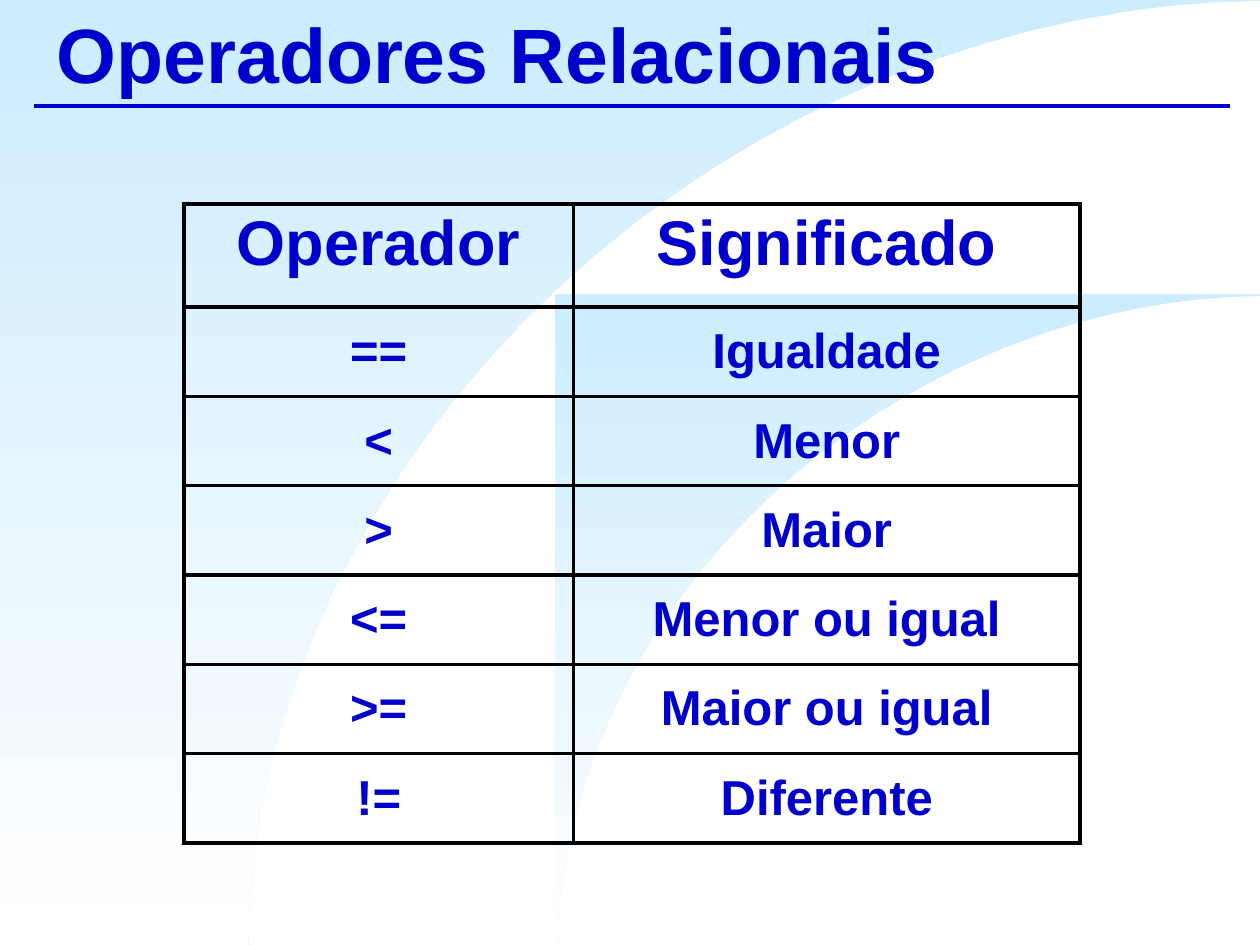
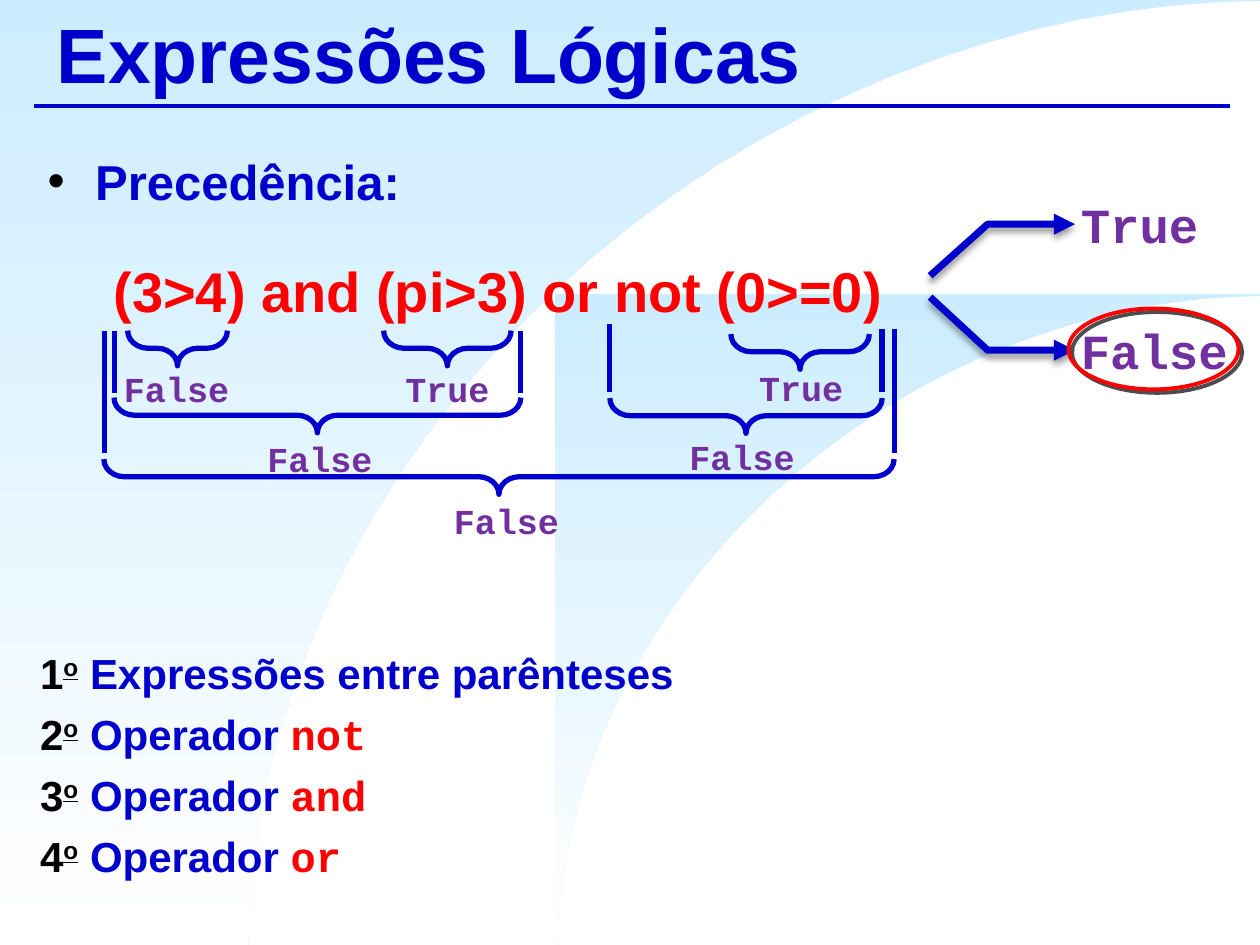
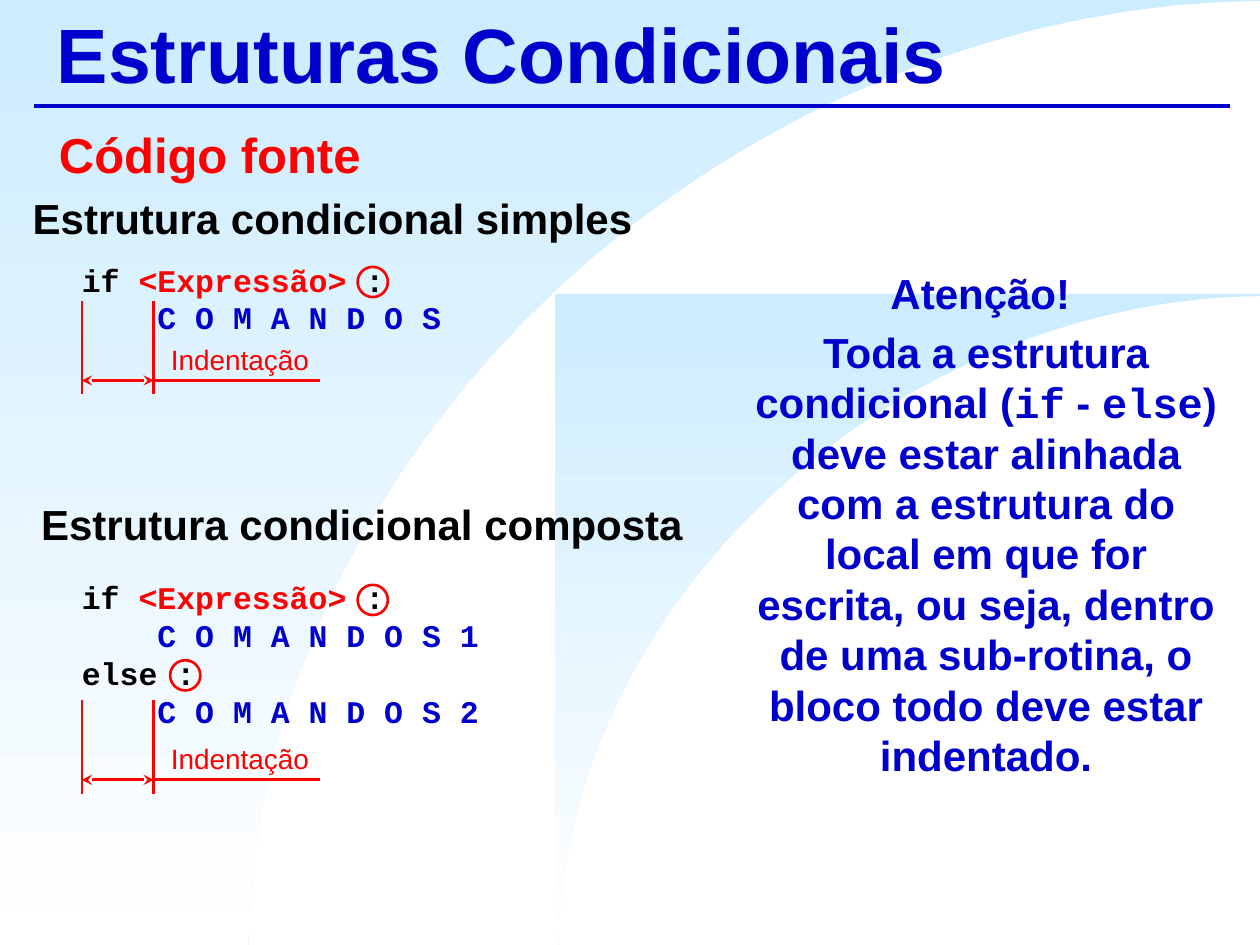
"""Builds three slides on relational operators, logic and conditionals."""
import math

import lxml.etree
import pptx
import pptx.dml.color
import pptx.enum.shapes
import pptx.enum.text
import pptx.oxml.ns
import pptx.util

Cm = pptx.util.Cm
Pt = pptx.util.Pt
qn = pptx.oxml.ns.qn
SHAPE = pptx.enum.shapes.MSO_SHAPE
ALIGN = pptx.enum.text.PP_ALIGN
ANCHOR = pptx.enum.text.MSO_ANCHOR

BLUE, RED, BLACK, PURPLE = "0000CC", "FF0000", "000000", "7030A0"
SKY, WHITE, GREY = "CCECFF", "FFFFFF", "4D4D4D"
SANS, MONO = "Arial", "Courier New"
WIDE, HIGH = 25.4, 19.05


def tint(code):
    return pptx.dml.color.RGBColor.from_string(code)


def node(parent, tag, **attrs):
    return lxml.etree.SubElement(parent, qn(tag), attrs)


class Deck:
    def __init__(self):
        self.file = pptx.Presentation()
        self.file.slide_width, self.file.slide_height = Cm(WIDE), Cm(HIGH)
        self.plan = self.file.slide_layouts[5]
        self.slide = None

    def start(self, title):
        first = self.slide is None
        self.slide = self.file.slides.add_slide(self.plan)
        if first:
            self.back()
        head = self.slide.shapes.title
        head.left, head.top, head.width, head.height = Cm(0.89), Cm(0), Cm(23.93), Cm(2.11)
        self.words(head.text_frame, [[(title, BLUE)]], 44, anchor=ANCHOR.MIDDLE)

    def back(self):
        parts = [self.curve(0, 0, 20.4, 19.03), self.curve(11.18, 5.92, 14.15, 13.08),
                 self.line(0.69, 2.13, 24.79, 2.13, BLUE, 2.25)]
        for part in parts:
            self.plan.shapes.element.append(part.element)

    def curve(self, left, top, wide, high):
        steps = 32
        turns = [math.pi / 2 * step / steps for step in range(steps)]
        points = [(WIDE - wide * math.cos(turn) ** 1.05, HIGH - high * math.sin(turn) ** 1.05)
                  for turn in turns]
        points += [(WIDE, HIGH - high), (WIDE, top), (left, top), (left, HIGH)]
        shape = self.trace(points, True)
        shape.fill.gradient()
        shape.fill.gradient_angle = 270
        for stop, code in zip(shape.fill.gradient_stops, (SKY, WHITE)):
            stop.color.rgb = tint(code)
        shape.line.fill.background()
        return shape

    def trace(self, points, close):
        spots = [(Cm(x), Cm(y)) for x, y in points]
        pen = self.slide.shapes.build_freeform(*spots[0])
        pen.add_line_segments(spots[1:], close=close)
        shape = pen.convert_to_shape()
        shape.shadow.inherit = False
        return shape

    def stroke(self, shape, code, width):
        shape.line.color.rgb = tint(code)
        shape.line.width = Pt(width)

    def tips(self, shape, kind, *ends):
        line = shape.element.spPr.find(qn("a:ln"))
        for end in ends:
            node(line, end, type=kind)

    def shade(self, shape, code, alpha, blur, dist, turn):
        group = shape.element.spPr.find(qn("a:effectLst"))
        outer = node(group, "a:outerShdw", blurRad=str(Pt(blur)), dist=str(Pt(dist)),
                     dir=str(turn * 60000), algn="ctr", rotWithShape="0")
        node(node(outer, "a:srgbClr", val=code), "a:alpha", val=str(alpha * 1000))

    def line(self, x1, y1, x2, y2, code, width):
        kind = pptx.enum.shapes.MSO_CONNECTOR.STRAIGHT
        link = self.slide.shapes.add_connector(kind, Cm(x1), Cm(y1), Cm(x2), Cm(y2))
        self.stroke(link, code, width)
        node(link.element.spPr, "a:effectLst")
        return link

    def form(self, kind, x, y, wide, high, code, width):
        shape = self.slide.shapes.add_shape(kind, Cm(x), Cm(y), Cm(wide), Cm(high))
        shape.shadow.inherit = False
        shape.fill.background()
        self.stroke(shape, code, width)
        return shape

    def brace(self, x, y, span):
        thick = 0.71
        shape = self.form(SHAPE.LEFT_BRACE, x - thick / 2, y - span / 2, thick, span, BLUE, 3)
        shape.rotation = 270
        shape.adjustments[0] = 0.58

    def arrow(self, points):
        shape = self.trace(points, False)
        shape.fill.background()
        self.stroke(shape, BLUE, 4)
        self.tips(shape, "triangle", "a:tailEnd")
        self.shade(shape, BLACK, 40, 4, 3, 90)

    def words(self, frame, rows, size, align=ALIGN.LEFT, anchor=ANCHOR.TOP, bold=True,
              space=None, before=0, after=0):
        frame.vertical_anchor = anchor
        for index, row in enumerate(rows):
            para = frame.add_paragraph() if index else frame.paragraphs[0]
            para.alignment = align
            para.line_spacing = space
            para.space_before = Pt(before if index else 0)
            para.space_after = Pt(after)
            for text, code, *more in row:
                run = para.add_run()
                run.text = text
                font = run.font
                font.size, font.bold = Pt(size), bold
                font.name = MONO if MONO in more else SANS
                font.color.rgb = tint(code)
                if "raised" in more:
                    font.underline = True
                    font._element.set("baseline", "30000")

    def text(self, x, y, wide, high, rows, size, wrap=True, **look):
        box = self.slide.shapes.add_textbox(Cm(x), Cm(y), Cm(wide), Cm(high))
        box.text_frame.word_wrap = wrap
        self.words(box.text_frame, rows, size, **look)
        return box

    def bullet(self, para, gap):
        props = para._p.get_or_add_pPr()
        props.set("marL", str(Cm(gap)))
        props.set("indent", str(-Cm(gap)))
        node(node(props, "a:buClr"), "a:srgbClr", val=BLACK)
        node(props, "a:buFont", typeface=SANS)
        node(props, "a:buChar", char="•")

    def table(self, x, y, cols, highs, rows):
        frame = self.slide.shapes.add_table(len(rows), len(cols), Cm(x), Cm(y),
                                            Cm(sum(cols)), Cm(sum(highs)))
        grid = frame.table
        grid.first_row = grid.horz_banding = False
        for col, wide in zip(grid.columns, cols):
            col.width = Cm(wide)
        for index, (row, high) in enumerate(zip(rows, highs)):
            grid.rows[index].height = Cm(high)
            for cell, word in zip(grid.rows[index].cells, row):
                cell.margin_left = cell.margin_right = Cm(0.2)
                cell.margin_top = cell.margin_bottom = Cm(0.1)
                self.words(cell.text_frame, [[(word, BLUE)]], 28 if index else 36, ALIGN.CENTER)
                cell.vertical_anchor = ANCHOR.MIDDLE if index else ANCHOR.TOP
                self.edge(cell)

    def edge(self, cell):
        props = cell._tc.get_or_add_tcPr()
        for side in ("a:lnL", "a:lnR", "a:lnT", "a:lnB"):
            line = node(props, side, w=str(Pt(2.25)))
            node(node(line, "a:solidFill"), "a:srgbClr", val=BLACK)
        cell.fill.background()

    def indent(self, top):
        for x in (1.65, 3.1):
            self.line(x, top, x, top + 1.88, RED, 1.5)
        level = top + 1.6
        link = self.line(1.65, level, 3.1, level, RED, 1.5)
        self.tips(link, "stealth", "a:headEnd", "a:tailEnd")
        self.line(3.12, level, 6.45, level, RED, 1.5)
        self.text(3.1, top + 0.71, 3.38, 0.94, [[("Indentação", RED)]], 16,
                  align=ALIGN.RIGHT, bold=False)


def signs(deck):
    deck.start("Operadores Relacionais")
    rows = [("Operador", "Significado"), ("==", "Igualdade"), ("<", "Menor"), (">", "Maior"),
            ("<=", "Menor ou igual"), (">=", "Maior ou igual"), ("!=", "Diferente")]
    deck.table(3.71, 4.11, (7.85, 10.21), [2.08] + [1.8] * 6, rows)


def logic(deck):
    deck.start("Expressões Lógicas")
    box = deck.text(0.71, 2.92, 20.98, 1.93, [[("Precedência:", BLUE)]], 28)
    deck.bullet(box.text_frame.paragraphs[0], 0.96)
    deck.text(1.98, 4.78, 16.13, 1.75, [[("(3>4) and (pi>3) or not (0>=0)", RED)]], 32,
              wrap=False, align=ALIGN.CENTER, space=1.2)

    for start, level in ((5.56, 4.52), (5.99, 7.06)):
        deck.arrow([(18.75, start), (19.91, level), (21.67, level)])
    for word, y, wide in (("True", 3.56, 2.9), ("False", 6.1, 3.5)):
        deck.text(21.54, y, wide, 1.65, [[(word, PURPLE, MONO)]], 28, wrap=False, space=1.2)
    ring = deck.form(SHAPE.OVAL, 21.54, 6.22, 3.43, 1.63, RED, 2.25)
    deck.shade(ring, GREY, 100, 0, 2.8, 45)

    steps = [("False", 3.56, 7.11, 3.58, 7.02, 2.01), ("True", 9.02, 7.11, 9.02, 7.02, 2.57),
             ("True", 16.15, 7.09, 16.13, 7.09, 2.79), ("False", 14.96, 8.48, 15.04, 8.38, 5.49),
             ("False", 6.45, 8.53, 6.4, 8.37, 8.2), ("False", 10.21, 9.78, 10.06, 9.61, 15.93)]
    for word, mid, top, x, y, span in steps:
        deck.text(mid - 1.32, top, 2.64, 1.25, [[(word, PURPLE, MONO)]], 20,
                  wrap=False, align=ALIGN.CENTER, space=1.2)
        deck.brace(x, y, span)
    for x, top, base in ((2.11, 6.68, 9.14), (2.31, 6.68, 7.92), (10.49, 6.68, 7.92),
                         (12.29, 6.53, 7.9), (17.78, 6.63, 7.9), (18.03, 6.63, 9.14)):
        deck.line(x, top, x, base, BLUE, 3)

    rules = [[(" Expressões entre parênteses", BLUE)]]
    rules += [[(" Operador ", BLUE), (word, RED, MONO)] for word in ("not", "and", "or")]
    rows = [[(str(rank), BLACK), ("o", BLACK, "raised")] + rule
            for rank, rule in enumerate(rules, 1)]
    deck.text(0.56, 12.93, 18, 5, rows, 24, align=ALIGN.JUSTIFY, after=6)


def forks(deck):
    deck.start("Estruturas Condicionais")
    deck.text(0.94, 2.51, 9.35, 1.19, [[("Código fonte", RED)]], 28, anchor=ANCHOR.MIDDLE)
    for x, y, kind in ((0.41, 3.76, "simples"), (0.58, 9.93, "composta")):
        deck.text(x, y, 14.5, 1.27, [[("Estrutura condicional " + kind, BLACK)]], 24)

    test = [("if ", BLACK, MONO), ("<Expressão> ", RED, MONO), (":", BLACK, MONO)]
    body = "    C O M A N D O S"
    deck.text(1.4, 5.13, 18.44, 2.57, [test, [(body, BLUE, MONO)]], 18)
    deck.text(1.4, 11.53, 18.44, 3.33,
              [test, [(body + " 1", BLUE, MONO)], [("else :", BLACK, MONO)],
               [(body + " 2", BLUE, MONO)]], 18)
    for top in (6.07, 14.12):
        deck.indent(top)
    for x, y in ((7.21, 5.38), (7.21, 11.79), (3.43, 13.31)):
        deck.form(SHAPE.OVAL, x, y, 0.61, 0.61, RED, 1.5)

    note = [("Toda a estrutura condicional (", BLUE), ("if", BLUE, MONO), (" - ", BLUE),
            ("else", BLUE, MONO),
            (") deve estar alinhada com a estrutura do local em que for escrita, ou seja, "
             "dentro de uma sub-rotina, o bloco todo deve estar indentado.", BLUE)]
    deck.text(14.94, 5.26, 9.88, 11.25, [[("Atenção! ", BLUE)], note], 24,
              align=ALIGN.CENTER, before=5)


def main():
    deck = Deck()
    signs(deck)
    logic(deck)
    forks(deck)
    deck.file.save("out.pptx")


if __name__ == "__main__":
    main()
